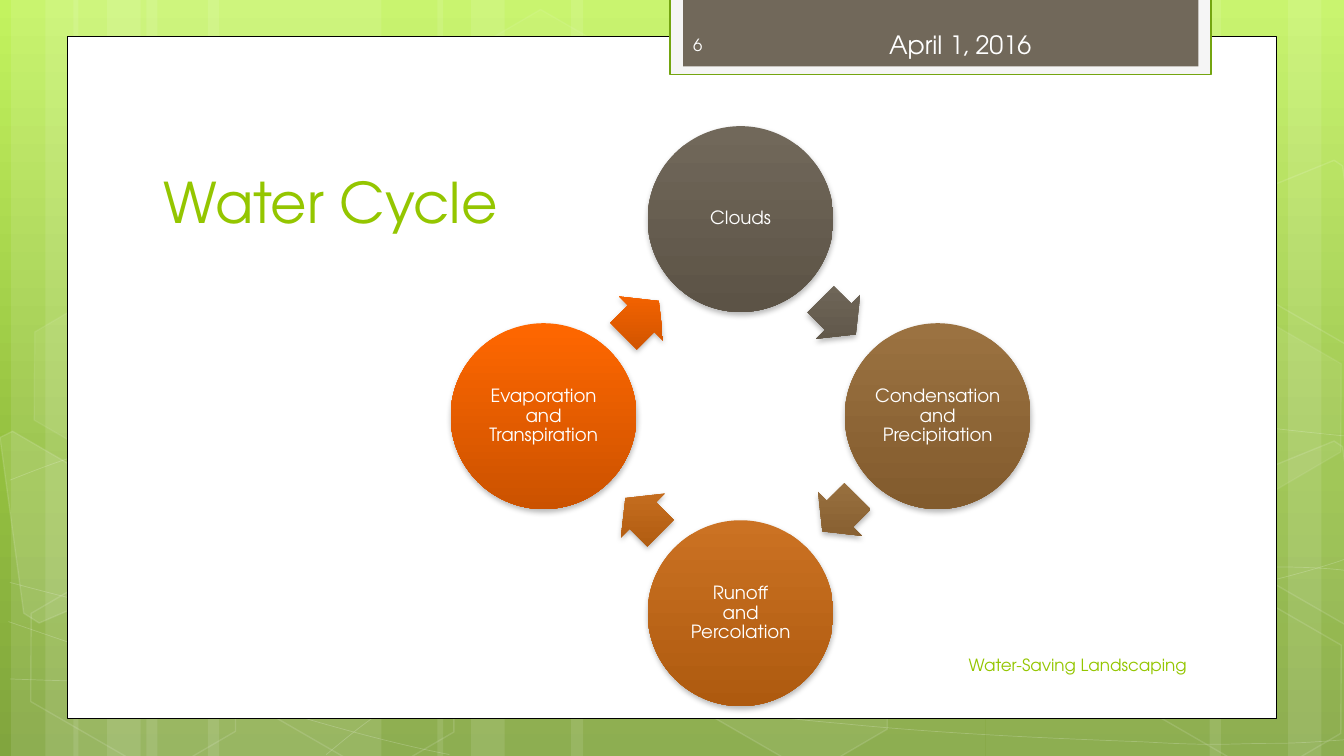
from math import cos, radians, sin
from copy import deepcopy

from lxml.etree import SubElement
from pptx import Presentation
from pptx.dml.color import RGBColor
from pptx.enum.shapes import MSO_SHAPE
from pptx.enum.text import MSO_ANCHOR, PP_ALIGN
from pptx.oxml.ns import qn
from pptx.util import Pt

FONT = "TeX Gyre Adventor"
INK = {
    "white": "FFFFFF", "black": "000000", "pale": "F5F5F5", "brown": "71685A",
    "edge": "74A510", "lime": "94C600", "number": "FEFEFE",
    "sky": "C3F35F", "leaf": "93BF3F", "moss": "81A53E",
    "cloud": "71685A", "cloud dark": "5C5346",
    "rain": "9B7241", "rain dark": "825B2D",
    "soil": "CB7223", "soil dark": "AE5A0F",
    "sun": "FF6700", "sun dark": "CB5200",
}


def paint(shape, fill=None, fade=100, line=None, width=1, dim=100):
    """Set fill and line, with their opacities in percent."""
    shape.shadow.inherit = False
    for name, part, alpha, route in (
        (fill, shape.fill, fade, "a:solidFill"),
        (line, shape.line.fill, dim, "a:ln/a:solidFill"),
    ):
        if name is None:
            part.background()
            continue
        part.solid()
        part.fore_color.rgb = RGBColor.from_string(INK[name])
        if alpha < 100:
            tint = shape.element.spPr.xpath(route + "/a:srgbClr")[0]
            SubElement(tint, qn("a:alpha"), val=str(alpha * 1000))
    if line:
        shape.line.width = Pt(width)


def write(shape, text, size, color, align=PP_ALIGN.LEFT, anchor=MSO_ANCHOR.MIDDLE):
    """Put one paragraph in a shape, with line breaks between its lines."""
    frame = shape.text_frame
    frame.word_wrap = True
    frame.vertical_anchor = anchor
    para = frame.paragraphs[0]
    para.alignment = align
    para.font.name = FONT
    para.font.size = Pt(size)
    para.font.color.rgb = RGBColor.from_string(INK[color])
    for row, words in enumerate(text.splitlines()):
        if row:
            para.add_line_break()
        para.add_run().text = words
    return para


deck = Presentation()
deck.slide_width, deck.slide_height = Pt(960), Pt(540)
slide = deck.slides.add_slide(deck.slide_layouts[6])
shapes = slide.shapes

# Green background
back = slide.background.fill
back.gradient()
back.gradient_angle = 270
stops = slide.element.xpath(".//p:bg//a:gs")
stops[0].addnext(deepcopy(stops[0]))
for stop, name, spot in zip(back.gradient_stops, ("sky", "leaf", "moss"), (0, 0.62, 1)):
    stop.color.rgb = RGBColor.from_string(INK[name])
    stop.position = spot

# Pale upright bands: left, width
for left, width in (
    (104.5, 168), (8, 48), (32.5, 80), (148.5, 168), (52.5, 48), (76.5, 80),
    (704, 168), (920, 48), (864, 80), (408, 296), (312.5, 48), (336.5, 80),
):
    band = shapes.add_shape(MSO_SHAPE.RECTANGLE, Pt(left), 0, Pt(width), Pt(540))
    paint(band, "white", 10)

# Thin waves: a start point, then three Bezier points per bend
waves = [
    [(7, 485), (59, 487), (111, 488), (183, 488), (255, 487), (343, 486), (439, 479),
     (536, 472), (672, 458), (760, 444), (848, 431), (938, 409), (967, 397)],
    [(7, 343), (35, 332), (62, 321), (117, 310), (171, 300), (248, 284), (333, 279),
     (419, 274), (522, 273), (628, 279), (734, 284), (909, 307), (967, 312)],
    [(6, 444), (122, 484), (238, 523), (321, 539)],
    [(7, 416), (37, 424), (67, 432), (123, 444), (179, 454), (262, 472), (342, 485),
     (422, 497), (523, 510), (603, 517), (683, 525), (768, 528), (819, 530),
     (869, 533), (882, 531), (907, 531), (932, 531), (950, 529), (967, 528)],
    [(233, 539), (250, 525), (266, 511), (290, 498), (313, 485), (346, 470), (372, 460),
     (398, 450), (415, 446), (451, 438), (486, 431), (551, 421), (584, 416),
     (618, 411), (623, 411), (653, 410), (683, 408), (729, 405), (762, 405),
     (795, 404), (851, 405), (851, 405), (872, 405), (893, 405), (914, 405),
     (932, 405), (948, 406), (957, 407), (966, 408), (963, 407), (966, 408)],
]
for wave in waves:
    spots = [(Pt(x), Pt(y)) for x, y in wave]
    pen = shapes.build_freeform(*spots[0])
    pen.add_line_segments(spots[1:], close=False)
    curve = pen.convert_to_shape()
    paint(curve, line="white", width=0.5, dim=20)
    # Join each three points into one bend
    track = curve.element.xpath(".//a:path")[0]
    legs = track.findall(qn("a:lnTo"))
    for first in range(0, len(legs), 3):
        bend = SubElement(track, qn("a:cubicBezTo"))
        for leg in legs[first:first + 3]:
            bend.append(leg[0])
            track.remove(leg)

# Tilted hexagons: left, top, fill and line opacity
for left, top, fade, dim in (
    (320.5, 26, 4, 8), (476.5, 424, 6, 12), (11, 425.5, 0, 12), (13.5, 224.5, 7, 8),
    (167, 426, 0, 12), (800.5, 427, 0, 12), (800.5, 226, 7, 8),
):
    cell = shapes.add_shape(MSO_SHAPE.HEXAGON, Pt(left), Pt(top), Pt(168.5), Pt(109.5))
    cell.adjustments[0] = 0.285
    cell.rotation = 30
    paint(cell, "white" if fade else None, fade, "white", 1, dim)

# Hexagons cut by the slide edges
west = [(0, 312.5), (9, 308), (83, 351), (91, 418), (28, 445), (17, 438)]
east = [(889, 341), (953, 315), (959, 319), (977, 450), (971, 452), (898, 410)]
for points, rise, fade in ((west, 0, 10), (east, 0, 4), (east, 200.5, 0)):
    spots = [(Pt(x), Pt(y - rise)) for x, y in points]
    pen = shapes.build_freeform(*spots[0])
    pen.add_line_segments(spots[1:])
    paint(pen.convert_to_shape(), "white" if fade else None, fade, "white", 1, 12)

# White page and date tab
for box, fill, line, width in (
    ((48, 26, 864, 487), "white", "black", 0.5),
    ((478.75, -1.5, 386.25, 54.75), "pale", "edge", 1.25),
    ((488, -1.5, 368, 49), "brown", None, 0),
):
    panel = shapes.add_shape(MSO_SHAPE.RECTANGLE, *map(Pt, box))
    paint(panel, fill, line=line, width=width)

# Title, date, footer and number
for box, text, size, color, align, anchor in (
    ((109.5, 81, 737, 90), "Water Cycle", 40, "lime", PP_ALIGN.LEFT, MSO_ANCHOR.BOTTOM),
    ((628, 17.5, 227, 29), "April 1, 2016", 18, "white", PP_ALIGN.LEFT, MSO_ANCHOR.TOP),
    ((487, 460.5, 368, 29), "Water-Saving Landscaping", 12, "lime",
     PP_ALIGN.RIGHT, MSO_ANCHOR.MIDDLE),
    ((488, 17.5, 139.5, 29), "6", 12, "number", PP_ALIGN.LEFT, MSO_ANCHOR.MIDDLE),
):
    write(shapes.add_textbox(*map(Pt, box)), text, size, color, align, anchor)

# Water cycle: four discs on a ring, each followed by an arrow
MID_X, MID_Y = 529, 297.25
stages = [
    ("Clouds", "cloud"),
    ("Condensation\nand\nPrecipitation", "rain"),
    ("Runoff\nand\nPercolation", "soil"),
    ("Evaporation\nand\nTranspiration", "sun"),
]
for turn, (label, tone) in enumerate(stages):
    for kind, reach, angle, width, height in (
        (MSO_SHAPE.OVAL, 140.75, -90, 132.75, 132.75),
        (MSO_SHAPE.RIGHT_ARROW, 99.5, -45.5, 35.5, 44.5),
    ):
        way = radians(angle + 90 * turn)
        left = MID_X + reach * cos(way) - width / 2
        top = MID_Y + reach * sin(way) - height / 2
        item = shapes.add_shape(kind, Pt(left), Pt(top), Pt(width), Pt(height))
        paint(item)
        item.fill.gradient()
        item.fill.gradient_angle = 270
        for stop, name in zip(item.fill.gradient_stops, (tone, tone + " dark")):
            stop.color.rgb = RGBColor.from_string(INK[name])
        props = item.element.spPr
        props.find(qn("a:gradFill")).set("rotWithShape", "0")
        # Soft shadow below
        shade = SubElement(props.find(qn("a:effectLst")), qn("a:outerShdw"),
                           blurRad=str(Pt(4)), dist=str(Pt(2)), dir="5400000", rotWithShape="0")
        tint = SubElement(shade, qn("a:srgbClr"), val=INK["black"])
        SubElement(tint, qn("a:alpha"), val="28000")
        if kind == MSO_SHAPE.RIGHT_ARROW:
            item.adjustments[0] = 0.6
            item.rotation = 45 + 90 * turn
            continue
        frame = item.text_frame
        frame.margin_left = frame.margin_right = Pt(1.5)
        frame.margin_top = frame.margin_bottom = Pt(1.5)
        write(item, label, 13, "white", PP_ALIGN.CENTER).line_spacing = 0.9

deck.save("out.pptx")
